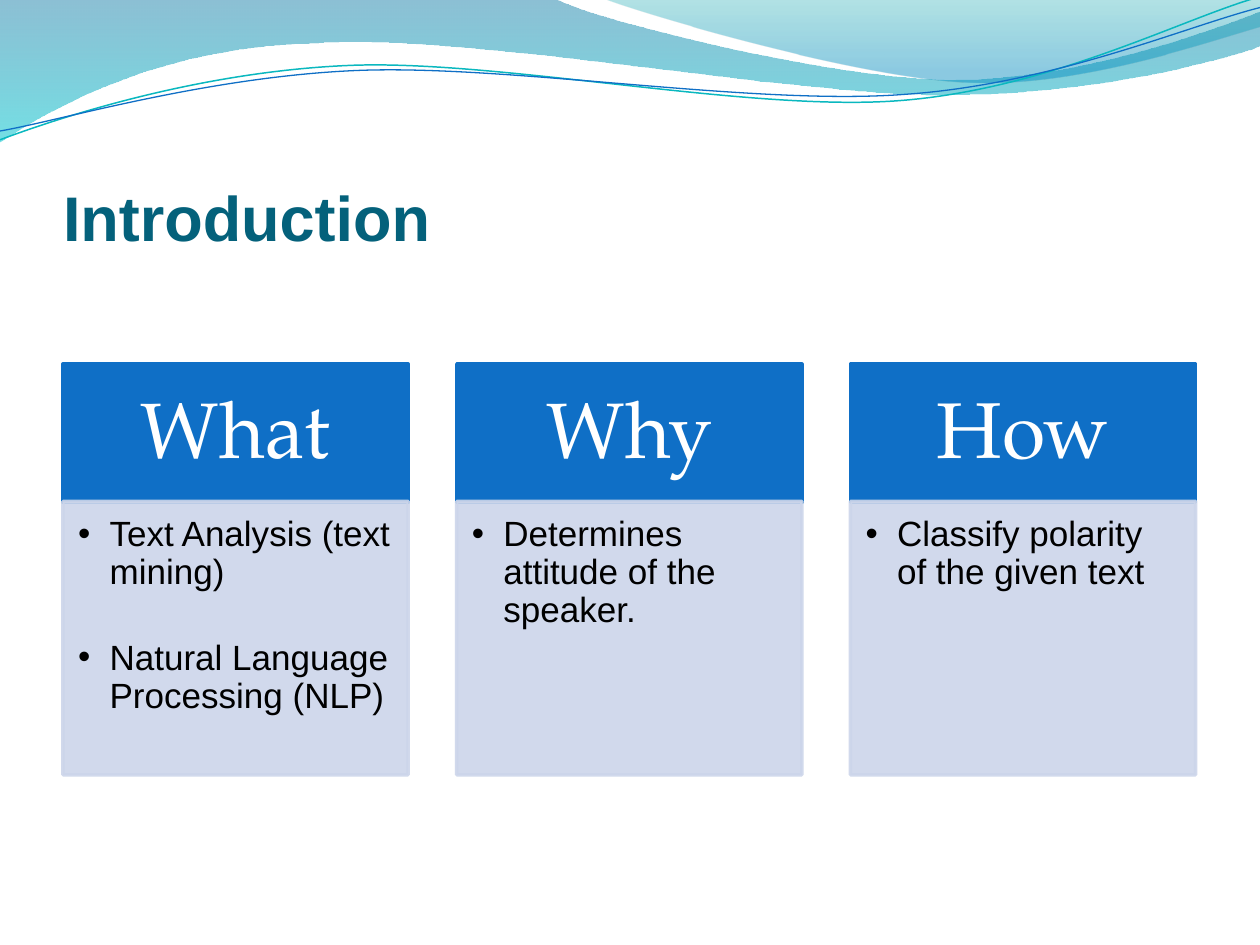
from lxml.etree import SubElement as Sub
from pptx import Presentation
from pptx.dml.color import RGBColor as RGB
from pptx.enum.shapes import MSO_SHAPE as SHAPE
from pptx.enum.text import MSO_ANCHOR as ANCHOR, PP_ALIGN as ALIGN
from pptx.oxml.ns import qn
from pptx.util import Inches, Pt

COLORS = {
    "title": "04617B", "head": "0F6FC6", "body": "CCD5EA",
    "white": "FFFFFF", "black": "000000", "teal": "0AB8BF",
    "sea": "0074A1", "aqua": "00C6CF", "mint": "00A1A9", "sky": "008BBF",
}

# Each wave edge: a start point, then points (2 numbers) or curves (6 numbers)
BAND = [(0, 0), (4.4, -0.01), (4.76, 0.17, 6.64, 0.63, 7.58, 0.63),
        (8.53, 0.63, 9.58, 0.26, 10, 0.09), (10.01, 0.36),
        (9.83, 0.44, 8.7, 0.76, 7.46, 0.75),
        (6.22, 0.75, 3.82, 0.28, 2.57, 0.34),
        (1.29, 0.36, 0.46, 0.83, -0.01, 1.13)]
CREST = [(4.79, -0.01), (5.09, 0.11, 6.82, 0.62, 7.69, 0.65),
         (8.56, 0.69, 9.61, 0.32, 10, 0.21), (10, 0)]
UPPER = [(0, 1.11), (0.48, 0.93, 1.58, 0.57, 2.77, 0.52),
         (3.95, 0.47, 5.93, 0.89, 7.13, 0.8),
         (8.33, 0.71, 9.38, 0.15, 9.98, -0.02)]
LOWER = [(0, 1.04), (0.47, 0.96, 1.64, 0.61, 2.83, 0.56),
         (4.03, 0.51, 5.97, 0.84, 7.17, 0.75),
         (8.36, 0.67, 9.41, 0.21, 10, 0.06)]

CARDS = [
    ("What", ["Text Analysis (text mining)",
              "Natural Language Processing (NLP)"]),
    ("Why", ["Determines attitude of the speaker."]),
    ("How", ["Classify polarity of the given text"]),
]
LEFT, STEP, WIDTH = 0.5, 3.125, 2.74


def color(name):
    return RGB.from_string(COLORS[name])


def fade(fmt, alpha):
    """Set the opacity, in percent, of every colour in a fill or stop."""
    for node in fmt.iter(qn("a:srgbClr")):
        Sub(node, qn("a:alpha"), val=str(alpha * 1000))


def add_wave(slide, edge, closed):
    """Draw the edge through all its points, then bend it into curves."""
    pts = [(Inches(part[k]), Inches(part[k + 1]))
           for part in edge for k in range(0, len(part), 2)]
    pen = slide.shapes.build_freeform(*pts[0])
    pen.add_line_segments(pts[1:], close=closed)
    wave = pen.convert_to_shape()
    wave.shadow.inherit = False
    lines = iter(list(wave._element.iter(qn("a:lnTo"))))
    for part in edge[1:]:
        bend = next(lines)
        if len(part) == 6:
            curve = bend.makeelement(qn("a:cubicBezTo"))
            bend.addprevious(curve)
            for node in (bend, next(lines), next(lines)):
                curve.append(node[0])
                node.getparent().remove(node)
    return wave


def add_area(slide, edge, stops):
    wave = add_wave(slide, edge, True)
    wave.line.fill.background()
    wave.fill.gradient()
    wave.fill.gradient_angle = 270
    for stop, (pos, name, alpha) in zip(wave.fill.gradient_stops, stops):
        stop.position = pos
        stop.color.rgb = color(name)
        fade(stop._gs, alpha)


def add_curve(slide, edge, name, width):
    wave = add_wave(slide, edge, False)
    wave.fill.background()
    wave.line.color.rgb = color(name)
    wave.line.width = Pt(width)


def write(frame, lines, size=20, font="Arial", ink="black", bold=False,
          align=ALIGN.LEFT, anchor=ANCHOR.TOP, inset=(0, 0, 0, 0),
          spacing=None, after=0, bullet=False):
    frame.word_wrap = True
    frame.vertical_anchor = anchor
    (frame.margin_left, frame.margin_top,
     frame.margin_right, frame.margin_bottom) = map(Inches, inset)
    for i, line in enumerate(lines):
        para = frame.add_paragraph() if i else frame.paragraphs[0]
        para.alignment = align
        para.line_spacing = spacing
        para.space_after = Pt(after)
        if bullet:
            props = para._p.get_or_add_pPr()
            props.set("marL", str(Inches(0.25)))
            props.set("indent", str(-Inches(0.25)))
            Sub(props, qn("a:buFont"), typeface=font)
            Sub(props, qn("a:buChar"), char="•")
        run = para.add_run()
        run.text = line
        run.font.size, run.font.name, run.font.bold = Pt(size), font, bold
        run.font.color.rgb = color(ink)


def add_box(slide, left, top, height, name, alpha=100):
    box = slide.shapes.add_shape(SHAPE.RECTANGLE, Inches(left), Inches(top),
                                 Inches(WIDTH), Inches(height))
    box.shadow.inherit = False
    box.fill.solid()
    box.fill.fore_color.rgb = color(name)
    box.line.color.rgb = color(name)
    box.line.width = Pt(2)
    if alpha < 100:
        fade(box._element.spPr, alpha)
    return box.text_frame


def add_card(slide, left, head, points):
    write(add_box(slide, left, 2.89, 1.1, "head"), [head], size=45,
          font="TeX Gyre Pagella", ink="white", align=ALIGN.CENTER,
          anchor=ANCHOR.MIDDLE, inset=(0.35, 0.2, 0.35, 0.2), spacing=0.9)
    write(add_box(slide, left, 3.98, 2.17, "body", 90), points,
          inset=(0.12, 0.12, 0.12, 0.17), spacing=0.9, after=27.4,
          bullet=True)


def add_title(slide, text):
    title = slide.shapes.title
    title.left, title.top = Inches(0.5), Inches(0.77)
    title.width, title.height = Inches(9), Inches(1.25)
    write(title.text_frame, [text], size=36, ink="title", bold=True,
          anchor=ANCHOR.BOTTOM, inset=(0, 0.05, 0, 0))
    # Bring the title in front of the waves
    slide.shapes._spTree.append(title._element)


def main():
    prs = Presentation()
    prs.slide_width, prs.slide_height = Inches(10), Inches(7.5)
    slide = prs.slides.add_slide(prs.slide_layouts[5])

    # Waves along the top
    add_area(slide, BAND, [(0, "sea", 45), (1, "aqua", 55)])
    add_area(slide, CREST, [(0, "mint", 30), (0.8, "sky", 45)])
    add_curve(slide, UPPER, "teal", 0.85)
    add_curve(slide, LOWER, "head", 0.75)

    # Title and the three cards
    add_title(slide, "Introduction")
    for i, (head, points) in enumerate(CARDS):
        add_card(slide, LEFT + i * STEP, head, points)

    prs.save("out.pptx")


if __name__ == "__main__":
    main()
